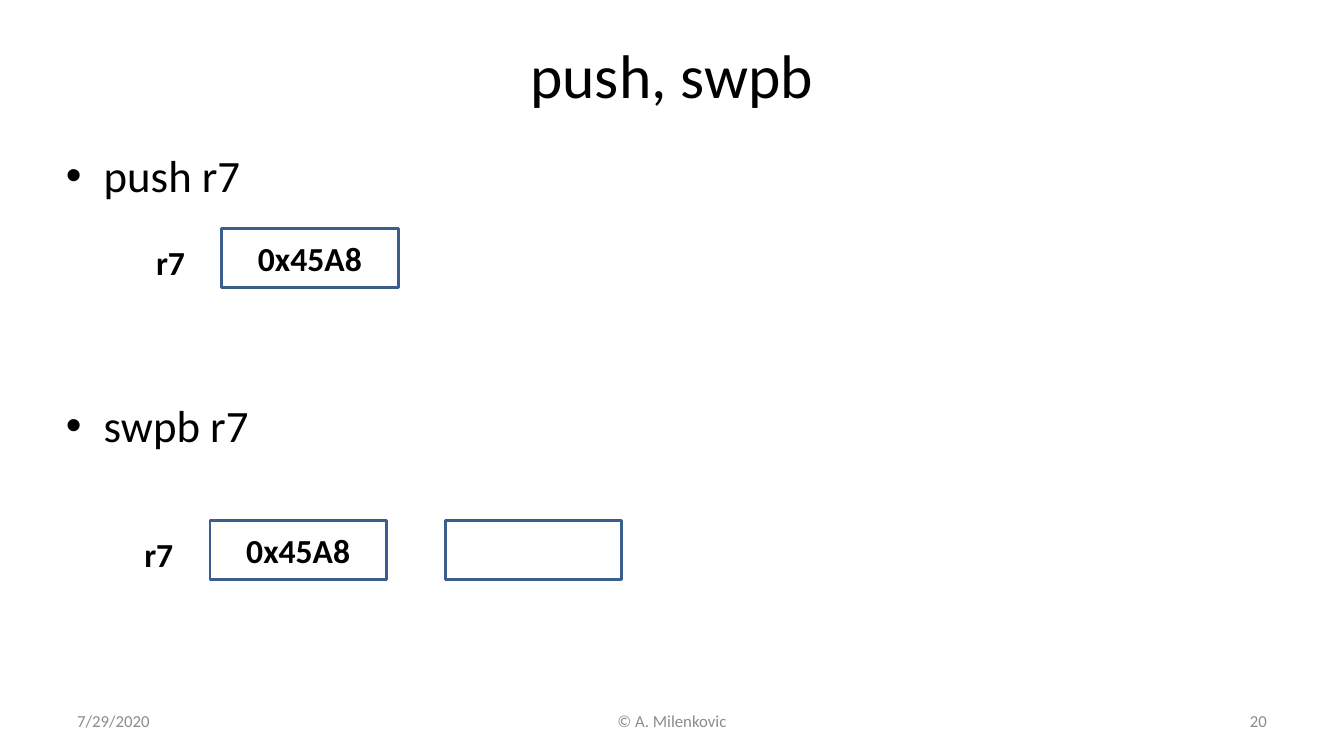
from pptx import Presentation
from pptx.dml.color import RGBColor
from pptx.enum.shapes import MSO_SHAPE
from pptx.enum.text import MSO_ANCHOR, PP_ALIGN
from pptx.oxml.ns import qn
from pptx.util import Pt
from lxml import etree

RECTANGLE = MSO_SHAPE.RECTANGLE
TOP, MIDDLE = MSO_ANCHOR.TOP, MSO_ANCHOR.MIDDLE
LEFT, CENTER, RIGHT = PP_ALIGN.LEFT, PP_ALIGN.CENTER, PP_ALIGN.RIGHT
FONT = "Calibri"
BLACK, GREY, BLUE = "000000", "8C8C8C", "3A5F8C"
REGISTER_WIDTH, REGISTER_HEIGHT = 126, 42
LABEL_WIDTH, LABEL_DROP = 54, 6


def color(value):
    return RGBColor.from_string(value)


def format_para(para, size, tint=BLACK, bold=False, align=LEFT):
    para.alignment = align
    for span in para.runs:
        span.font.name = FONT
        span.font.size = Pt(size)
        span.font.bold = bold
        span.font.color.rgb = color(tint)


def add_text(page, text, left, top, width, height, size, anchor=MIDDLE, **style):
    box = page.shapes.add_textbox(Pt(left), Pt(top), Pt(width), Pt(height))
    frame = box.text_frame
    frame.word_wrap = True
    frame.vertical_anchor = anchor
    frame.text = text
    for para in frame.paragraphs:
        format_para(para, size, **style)
    return box


def add_bullets(page, items, left, top, width, height):
    text = "\n".join(name for name, gap in items)
    box = add_text(page, text, left, top, width, height, 32, TOP)
    for para, (name, gap) in zip(box.text_frame.paragraphs, items):
        para.space_before = Pt(gap)
        properties = para._p.get_or_add_pPr()
        properties.set("marL", str(Pt(27)))
        properties.set("indent", str(-Pt(27)))
        etree.SubElement(properties, qn("a:buFont"), typeface="Arial")
        etree.SubElement(properties, qn("a:buChar"), char="•")


def add_register(page, left, top, value=""):
    box = page.shapes.add_shape(
        RECTANGLE, Pt(left), Pt(top), Pt(REGISTER_WIDTH), Pt(REGISTER_HEIGHT))
    box.shadow.inherit = False
    box.fill.background()
    box.line.color.rgb = color(BLUE)
    box.line.width = Pt(2)
    if value:
        box.text_frame.vertical_anchor = MIDDLE
        box.text_frame.text = value
        format_para(box.text_frame.paragraphs[0], 24, bold=True, align=CENTER)


def add_labelled_register(page, name, value, left, top):
    add_register(page, left, top, value)
    add_text(page, name, left - LABEL_WIDTH, top + LABEL_DROP,
             LABEL_WIDTH, 36, 24, TOP, bold=True)


def main():
    deck = Presentation()
    deck.slide_width, deck.slide_height = Pt(960), Pt(540)
    page = deck.slides.add_slide(deck.slide_layouts[6])

    add_text(page, "push, swpb", 48, 21.6, 864, 62.4, 44, align=CENTER)
    add_bullets(page, [("push r7", 6.4), ("swpb r7", 140.4)], 40, 102, 864, 356)

    add_labelled_register(page, "r7", "0x45A8", 158.4, 163.2)
    add_labelled_register(page, "r7", "0x45A8", 150, 372)
    add_register(page, 318, 372)

    footer = [
        ("7/29/2020", 48, 224, LEFT),
        ("© A. Milenkovic", 328, 304, CENTER),
        ("20", 688, 224, RIGHT),
    ]
    for text, left, width, align in footer:
        add_text(page, text, left, 500.5, width, 28.8, 12, tint=GREY, align=align)

    deck.save("out.pptx")


if __name__ == "__main__":
    main()
